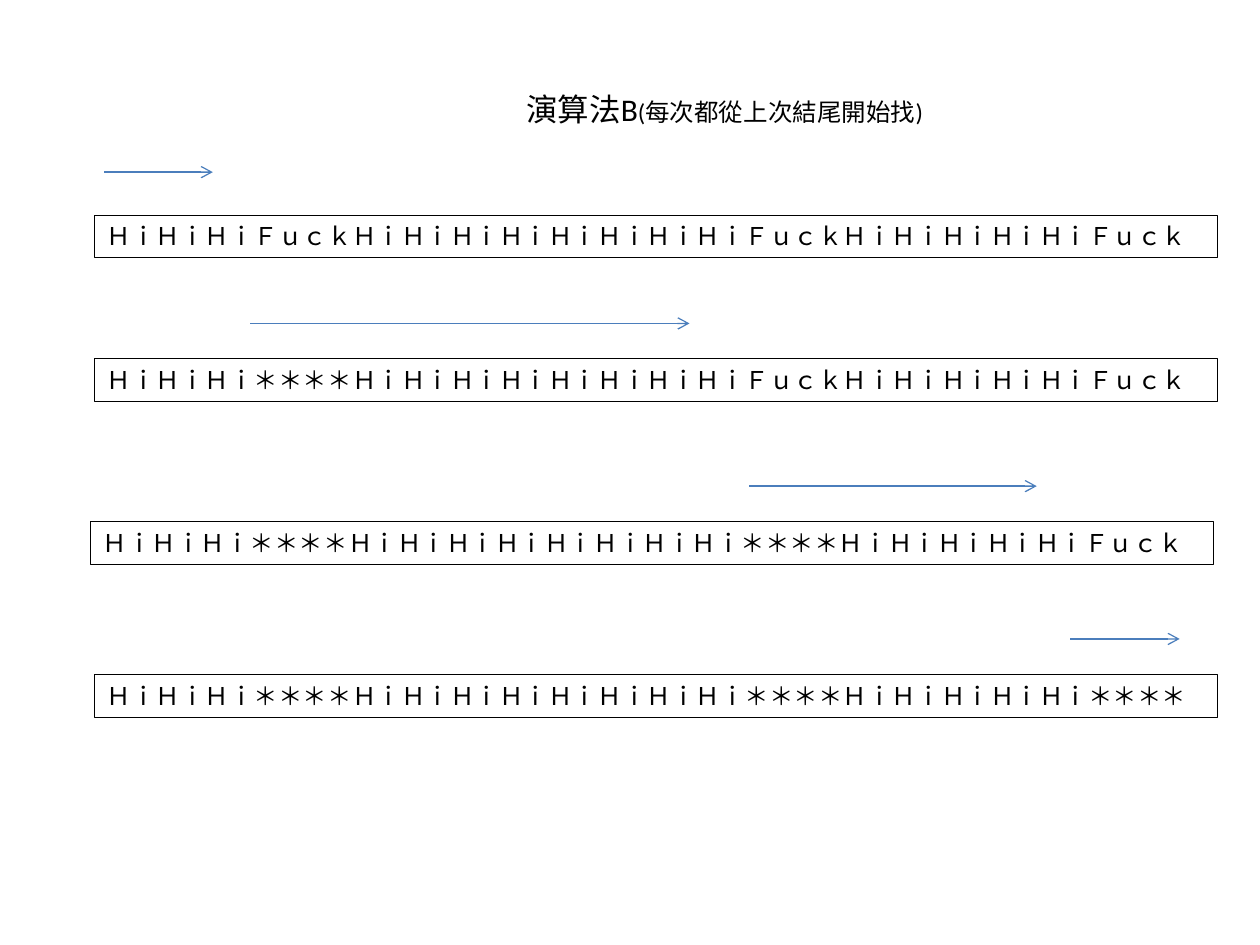
from lxml import etree
from pptx import Presentation
from pptx.dml.color import RGBColor
from pptx.enum.shapes import MSO_CONNECTOR, MSO_SHAPE
from pptx.enum.text import MSO_ANCHOR, MSO_AUTO_SIZE, PP_ALIGN
from pptx.oxml.ns import qn
from pptx.util import Cm, Pt

STRAIGHT, RECT = MSO_CONNECTOR.STRAIGHT, MSO_SHAPE.RECTANGLE
TOP, LEFT, GROW = MSO_ANCHOR.TOP, PP_ALIGN.LEFT, MSO_AUTO_SIZE.SHAPE_TO_FIT_TEXT
BLACK = RGBColor(0x00, 0x00, 0x00)
BLUE = RGBColor(0x4B, 0x7E, 0xBC)

TITLE = [("演算法B", 18), ("(每次都從上次結尾開始找)", 14)]

# text, box left, box top, arrow start, arrow end, arrow height (cm)
STEPS = [
    ("ＨｉＨｉＨｉＦｕｃｋＨｉＨｉＨｉＨｉＨｉＨｉＨｉＨｉＦｕｃｋＨｉＨｉＨｉＨｉＨｉＦｕｃｋ",
     1.9, 4.34, 2.1, 4.29, 3.47),
    ("ＨｉＨｉＨｉ＊＊＊＊ＨｉＨｉＨｉＨｉＨｉＨｉＨｉＨｉＦｕｃｋＨｉＨｉＨｉＨｉＨｉＦｕｃｋ",
     1.9, 7.23, 5.04, 13.9, 6.52),
    ("ＨｉＨｉＨｉ＊＊＊＊ＨｉＨｉＨｉＨｉＨｉＨｉＨｉＨｉ＊＊＊＊ＨｉＨｉＨｉＨｉＨｉＦｕｃｋ",
     1.82, 10.52, 15.1, 20.9, 9.8),
    ("ＨｉＨｉＨｉ＊＊＊＊ＨｉＨｉＨｉＨｉＨｉＨｉＨｉＨｉ＊＊＊＊ＨｉＨｉＨｉＨｉＨｉ＊＊＊＊",
     1.9, 13.6, 21.58, 23.78, 12.88),
]
BOX_W, BOX_H = 22.64, 0.86


def write(shape, runs):
    tf = shape.text_frame
    for name, value in {"word_wrap": True, "auto_size": GROW,
                        "vertical_anchor": TOP}.items():
        setattr(tf, name, value)
    p = tf.paragraphs[0]
    p.alignment = LEFT
    for text, size in runs:
        r = p.add_run()
        r.text = text
        for name, value in {"name": "Calibri", "size": Pt(size)}.items():
            setattr(r.font, name, value)
        r.font.color.rgb = BLACK


def add_string_box(s, text, left, top):
    box = s.shapes.add_shape(RECT, Cm(left), Cm(top), Cm(BOX_W), Cm(BOX_H))
    box.shadow.inherit = False
    box.fill.background()
    box.line.color.rgb = BLACK
    box.line.width = Pt(0.75)
    write(box, [(text, 14)])


def add_arrow(s, start, end, y):
    arrow = s.shapes.add_connector(STRAIGHT, Cm(start), Cm(y), Cm(end), Cm(y))
    arrow.line.color.rgb = BLUE
    arrow.line.width = Pt(0.75)
    etree.SubElement(arrow.line._get_or_add_ln(), qn("a:tailEnd"), type="arrow")
    etree.SubElement(arrow._element.spPr, qn("a:effectLst"))


def main():
    prs = Presentation()
    prs.slide_width, prs.slide_height = Cm(25.4), Cm(19.05)
    s = prs.slides.add_slide(prs.slide_layouts[6])
    for text, left, top, start, end, y in STEPS:
        add_string_box(s, text, left, top)
        add_arrow(s, start, end, y)
    write(s.shapes.add_textbox(Cm(10.36), Cm(1.7), Cm(8.59), Cm(1.02)), TITLE)
    prs.save("out.pptx")


if __name__ == "__main__":
    main()
